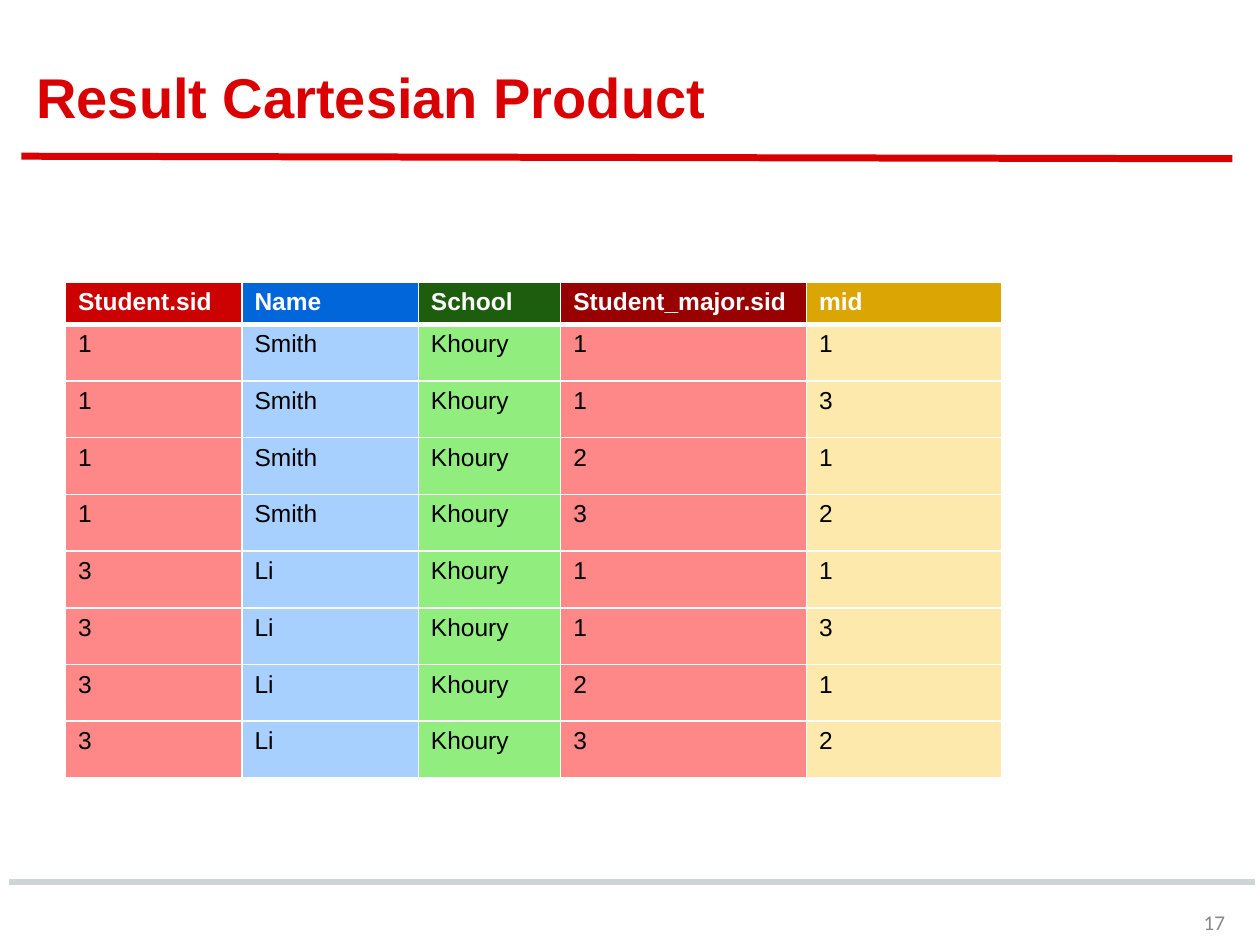
from itertools import product

from lxml import etree
from pptx import Presentation
from pptx.dml.color import RGBColor
from pptx.enum.shapes import MSO_CONNECTOR
from pptx.enum.text import MSO_ANCHOR, PP_ALIGN
from pptx.oxml.ns import qn
from pptx.util import Inches, Pt

LINE = MSO_CONNECTOR.STRAIGHT
LEFT, RIGHT = PP_ALIGN.LEFT, PP_ALIGN.RIGHT
MIDDLE, BOTTOM = MSO_ANCHOR.MIDDLE, MSO_ANCHOR.BOTTOM

RED, GRAY, WHITE, BLACK = "DA0002", "CFD4D4", "FFFFFF", "000000"

# Column name, width, header fill, body fill
COLUMNS = [
    ("Student.sid", 1.4, "CC0202", "FE8787"),
    ("Name", 1.4, "0066D9", "A7D0FF"),
    ("School", 1.13, "1C5E0D", "92ED7F"),
    ("Student_major.sid", 1.95, "990101", "FE8787"),
    ("mid", 1.55, "DBA604", "FDE9AC"),
]
STUDENTS = [("1", "Smith", "Khoury"), ("3", "Li", "Khoury")]
MAJORS = [("1", "1"), ("1", "3"), ("2", "1"), ("3", "2")]
HEAD, ROW = 0.32, 0.45


def color(code):
    return RGBColor.from_string(code)


def write(frame, text, size=14, font="Arial", ink=BLACK, bold=False, align=LEFT):
    para = frame.paragraphs[0]
    para.alignment = align
    run = para.add_run()
    run.text = text
    run.font.size = Pt(size)
    run.font.name = font
    run.font.bold = bold
    run.font.color.rgb = color(ink)


def add_text(slide, box, text, anchor, pad, **style):
    frame = slide.shapes.add_textbox(*map(Inches, box)).text_frame
    frame.word_wrap = True
    frame.vertical_anchor = anchor
    frame.margin_left = frame.margin_right = Inches(0.1)
    frame.margin_top = frame.margin_bottom = Inches(pad)
    write(frame, text, **style)


def add_rule(slide, ends, ink):
    rule = slide.shapes.add_connector(LINE, *map(Inches, ends))
    rule.line.color.rgb = color(ink)
    rule.line.width = Pt(4)
    props = rule._element.find(qn("p:spPr"))
    etree.SubElement(props, qn("a:effectLst"))


def set_border(cell, side, width):
    props = cell._tc.get_or_add_tcPr()
    edge = etree.SubElement(props, qn(f"a:ln{side}"), w=str(Pt(width)))
    fill = etree.SubElement(edge, qn("a:solidFill"))
    etree.SubElement(fill, qn("a:srgbClr"), val=WHITE)


def fill_cell(cell, text, fill, head):
    # Borders go before the fill in the cell properties
    for side in "LRTB":
        set_border(cell, side, 3 if head and side == "B" else 1)
    cell.fill.solid()
    cell.fill.fore_color.rgb = color(fill)
    write(cell.text_frame, text, ink=WHITE if head else BLACK, bold=head)


def add_grid(slide, left, top):
    names, widths, heads, fills = zip(*COLUMNS)
    pairs = product(STUDENTS, MAJORS)
    rows = [names] + [student + major for student, major in pairs]
    high = HEAD + ROW * (len(rows) - 1)
    box = map(Inches, (left, top, sum(widths), high))
    grid = slide.shapes.add_table(len(rows), len(names), *box).table

    for col, width in zip(grid.columns, widths):
        col.width = Inches(width)
    for i, row in enumerate(rows):
        head = i == 0
        grid.rows[i].height = Inches(HEAD if head else ROW)
        for j, text in enumerate(row):
            fill = heads[j] if head else fills[j]
            fill_cell(grid.cell(i, j), text, fill, head)


def main():
    deck = Presentation()
    deck.slide_width, deck.slide_height = Inches(10), Inches(7.5)
    slide = deck.slides.add_slide(deck.slide_layouts[6])

    # Rules and page number
    add_rule(slide, (0.07, 7, 9.96, 7), GRAY)
    add_rule(slide, (0.17, 1.24, 9.78, 1.26), RED)
    add_text(slide, (9.07, 7.16, 0.75, 0.31), "17", MIDDLE, 0.05,
             size=12, font="Calibri", ink="888888", align=RIGHT)

    # Title
    add_text(slide, (0.19, 0.29, 9.77, 0.84), "Result Cartesian Product",
             BOTTOM, 0.1, size=32, ink=RED, bold=True)

    # Every student paired with every major
    add_grid(slide, 0.52, 2.24)

    deck.save("out.pptx")


if __name__ == "__main__":
    main()
